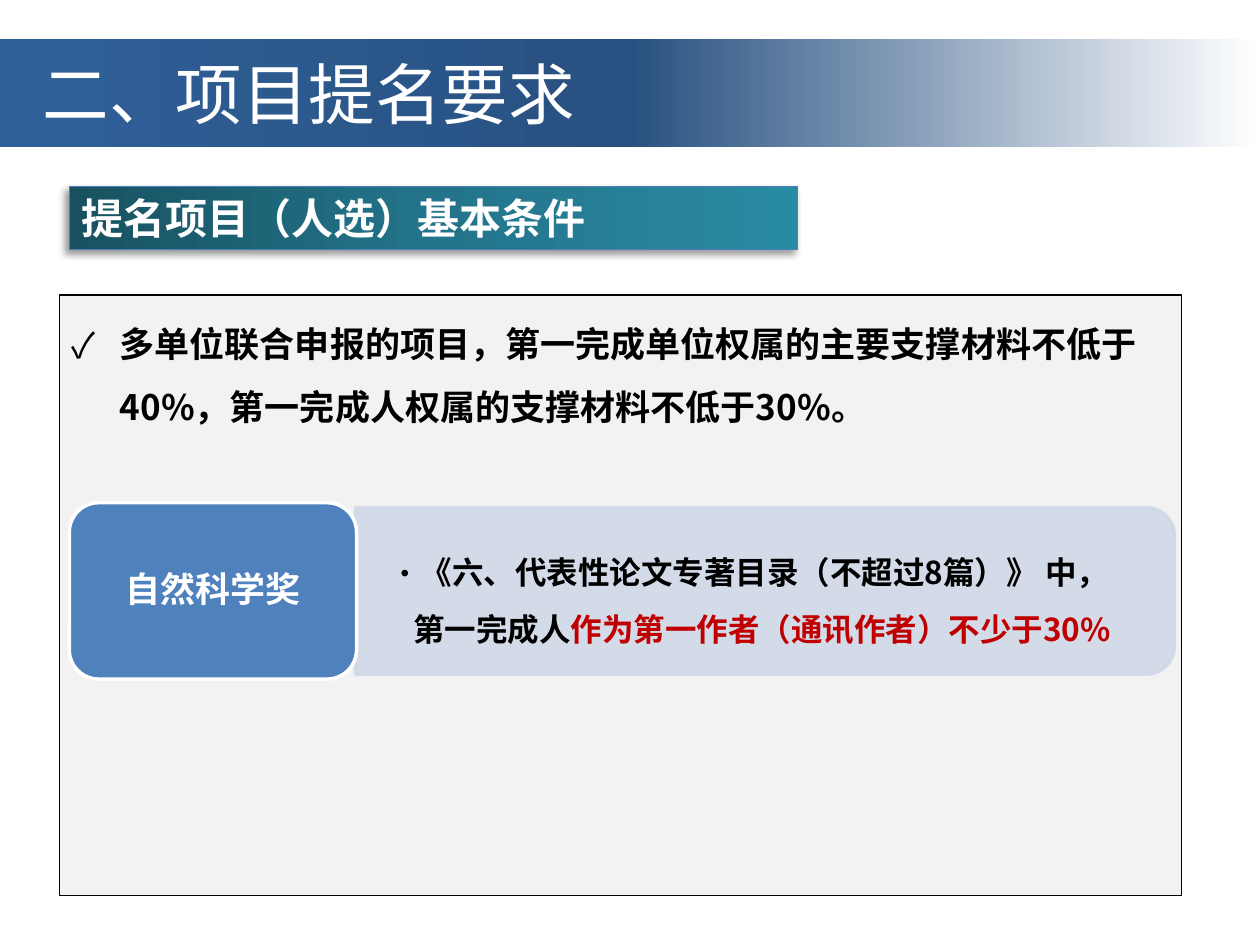
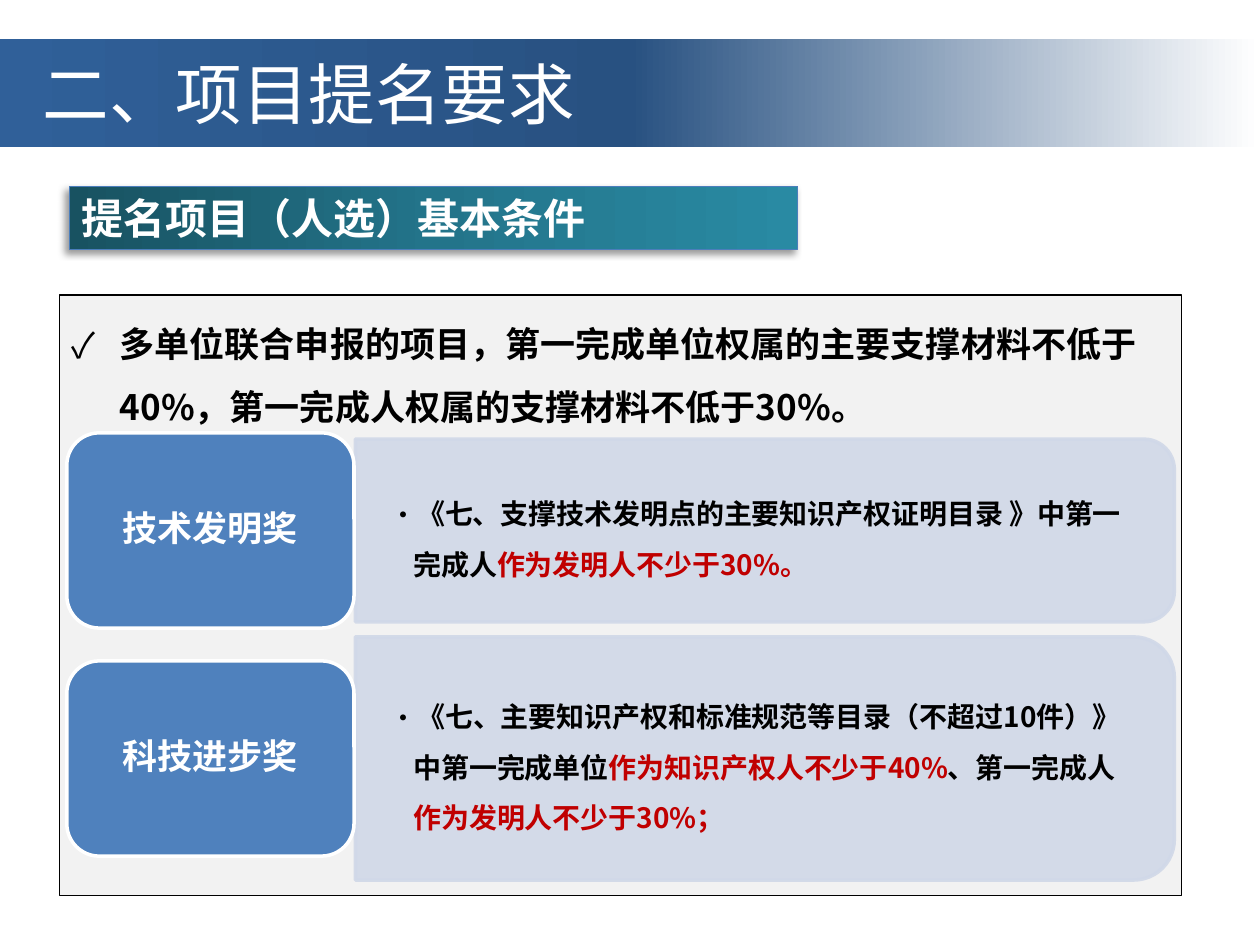
from dataclasses import dataclass
from typing import Optional

from lxml.etree import SubElement
from pptx import Presentation
from pptx.dml.color import RGBColor
from pptx.enum.shapes import MSO_SHAPE
from pptx.enum.text import MSO_ANCHOR, MSO_AUTO_SIZE, PP_ALIGN
from pptx.oxml.ns import qn
from pptx.util import Inches, Pt

FONT = "Noto Sans CJK SC"
WHITE, BLACK, RED = "FFFFFF", "000000", "C00000"
LABEL_BLUE, PANEL_BLUE, BOX_GRAY = "4F81BD", "D0D8E8", "F2F2F2"
BANNER_LINE = "4B7EBC"
TITLE_STOPS = [(0, WHITE), (50, "285181"), (100, "306099")]
BANNER_STOPS = [(0, "185261"), (50, "23748A"), (100, "298AA3")]

TITLE = "二、项目提名要求"
BANNER = "提名项目（人选）基本条件"
RULE = "多单位联合申报的项目，第一完成单位权属的主要支撑材料不低于40%，第一完成人权属的支撑材料不低于30%。"

PANEL_LEFT, PANEL_WIDTH = 2.82, 6.5
LABEL_WIDTH = 2.28
CORNER_RATIO = 0.05
LINE_RATIO = 1.8


@dataclass
class Span:
    text: str
    color: str = BLACK


@dataclass
class Award:
    name: str
    middle: float
    panel_height: float
    label_left: float
    label_height: float
    size: int
    spans: list[Span]


PAGES = [
    [
        Award("自然科学奖", 4.69, 1.32, 0.55, 1.4, 18, [
            Span("《六、代表性论文专著目录（不超过8篇）》 中，第一完成人"),
            Span("作为第一作者（通讯作者）不少于30%", RED),
        ]),
    ],
    [
        Award("技术发明奖", 4.21, 1.45, 0.53, 1.55, 16, [
            Span("《七、支撑技术发明点的主要知识产权证明目录 》中第一完成人"),
            Span("作为发明人不少于30%。", RED),
        ]),
        Award("科技进步奖", 6.02, 1.93, 0.53, 1.55, 16, [
            Span("《七、主要知识产权和标准规范等目录（不超过10件）》中第一完成单位"),
            Span("作为知识产权人不少于40%", RED),
            Span("、第一完成人"),
            Span("作为发明人不少于30%；", RED),
        ]),
    ],
]


def rgb(value: str) -> RGBColor:
    return RGBColor.from_string(value)


def place(shape, left: float, top: float, width: float, height: float) -> None:
    shape.left, shape.top = Inches(left), Inches(top)
    shape.width, shape.height = Inches(width), Inches(height)


def paint(shape, fill: str, line: Optional[str] = None, weight: float = 0.75) -> None:
    shape.fill.solid()
    shape.fill.fore_color.rgb = rgb(fill)
    if line:
        outline(shape, line, weight)


def outline(shape, color: str, weight: float) -> None:
    shape.line.color.rgb = rgb(color)
    shape.line.width = Pt(weight)


def paint_gradient(shape, stops: list[tuple[int, str]], angle: int) -> None:
    shape.fill.gradient()
    shape.fill.gradient_angle = angle
    stop_list = shape._element.spPr.find(".//" + qn("a:gsLst"))
    stop_list.clear()
    for position, color in stops:
        stop = SubElement(stop_list, qn("a:gs"), pos=str(position * 1000))
        SubElement(stop, qn("a:srgbClr"), val=color)


def make_translucent(shape, percent: int) -> None:
    for color in shape._element.spPr.iter(qn("a:srgbClr")):
        SubElement(color, qn("a:alpha"), val=str(percent * 1000))


def cast_shadow(shape) -> None:
    shape.shadow.inherit = False
    effects = shape._element.spPr.find(qn("a:effectLst"))
    shadow = SubElement(effects, qn("a:outerShdw"), blurRad=str(Pt(4)),
                        dist=str(Pt(3)), dir=str(135 * 60000), rotWithShape="0")
    color = SubElement(shadow, qn("a:srgbClr"), val=BLACK)
    SubElement(color, qn("a:alpha"), val="40000")


def add_shape(page, kind: MSO_SHAPE, left: float, top: float, width: float, height: float):
    shape = page.shapes.add_shape(kind, Inches(left), Inches(top), Inches(width), Inches(height))
    shape.shadow.inherit = False
    return shape


def set_frame(shape, anchor: MSO_ANCHOR, side: float = 0.1, edge: float = 0.05):
    frame = shape.text_frame
    frame.word_wrap = True
    frame.auto_size = MSO_AUTO_SIZE.NONE
    frame.vertical_anchor = anchor
    frame.margin_left = frame.margin_right = Inches(side)
    frame.margin_top = frame.margin_bottom = Inches(edge)
    return frame


def write(para, spans: list[Span], size: int, bold: bool = True,
          align: PP_ALIGN = PP_ALIGN.LEFT) -> None:
    para.alignment = align
    para.space_before = Pt(0)
    for span in spans:
        run = para.add_run()
        run.text = span.text
        run.font.size = Pt(size)
        run.font.bold = bold
        run.font.color.rgb = rgb(span.color)
        run.font.name = FONT
        SubElement(run._r.get_or_add_rPr(), qn("a:ea"), typeface=FONT)


def write_bullet(para, mark: str, indent: float, spans: list[Span], size: int) -> None:
    properties = para._p.get_or_add_pPr()
    properties.set("marL", str(Inches(indent)))
    properties.set("indent", str(-Inches(indent)))
    SubElement(properties, qn("a:buFont"), typeface=FONT)
    SubElement(properties, qn("a:buChar"), char=mark)
    para.line_spacing = Pt(size * LINE_RATIO)
    write(para, spans, size)


def add_title(page) -> None:
    title = page.shapes.title
    place(title, 0, 0.31, 10, 0.86)
    paint_gradient(title, TITLE_STOPS, 180)
    frame = set_frame(title, MSO_ANCHOR.TOP, side=0.34)
    para = frame.paragraphs[0]
    para.line_spacing = Pt(50)
    write(para, [Span(TITLE, WHITE)], 38, bold=False)


def add_rule(page) -> None:
    body = page.placeholders[1]
    place(body, 0.47, 2.34, 8.91, 4.77)
    paint(body, BOX_GRAY, BLACK)
    frame = set_frame(body, MSO_ANCHOR.TOP)
    write_bullet(frame.paragraphs[0], "✓", 0.38, [Span(RULE)], 20)


def add_banner(page) -> None:
    banner = add_shape(page, MSO_SHAPE.RECTANGLE, 0.55, 1.48, 5.78, 0.5)
    paint_gradient(banner, BANNER_STOPS, 0)
    outline(banner, BANNER_LINE, 0.75)
    cast_shadow(banner)
    frame = set_frame(banner, MSO_ANCHOR.MIDDLE, edge=0)
    write(frame.paragraphs[0], [Span(BANNER, WHITE)], 24)


def add_panel(page, award: Award) -> None:
    height = award.panel_height
    center = PANEL_LEFT + PANEL_WIDTH / 2
    panel = add_shape(page, MSO_SHAPE.ROUND_2_SAME_RECTANGLE, center - height / 2,
                      award.middle - PANEL_WIDTH / 2, height, PANEL_WIDTH)
    panel.rotation = 90
    paint(panel, PANEL_BLUE, PANEL_BLUE, 2)
    make_translucent(panel, 90)

    corner = CORNER_RATIO * height
    box = page.shapes.add_textbox(
        Inches(PANEL_LEFT), Inches(award.middle - height / 2 + corner),
        Inches(PANEL_WIDTH - corner), Inches(height - 2 * corner))
    frame = set_frame(box, MSO_ANCHOR.MIDDLE, 0.27, 0.14)
    write_bullet(frame.paragraphs[0], "•", 0.19, award.spans, award.size)


def add_label(page, award: Award) -> None:
    label = add_shape(page, MSO_SHAPE.ROUNDED_RECTANGLE, award.label_left,
                      award.middle - award.label_height / 2, LABEL_WIDTH, award.label_height)
    paint(label, LABEL_BLUE, WHITE, 2)
    frame = set_frame(label, MSO_ANCHOR.MIDDLE, 0.08, 0.04)
    para = frame.paragraphs[0]
    para.line_spacing = 0.9
    write(para, [Span(award.name, WHITE)], 20, align=PP_ALIGN.CENTER)


def main() -> None:
    deck = Presentation()
    deck.slide_width, deck.slide_height = Inches(10), Inches(7.5)
    for awards in PAGES:
        page = deck.slides.add_slide(deck.slide_layouts[1])
        add_title(page)
        add_rule(page)
        add_banner(page)
        for award in awards:
            add_panel(page, award)
            add_label(page, award)
    deck.save("out.pptx")


if __name__ == "__main__":
    main()
